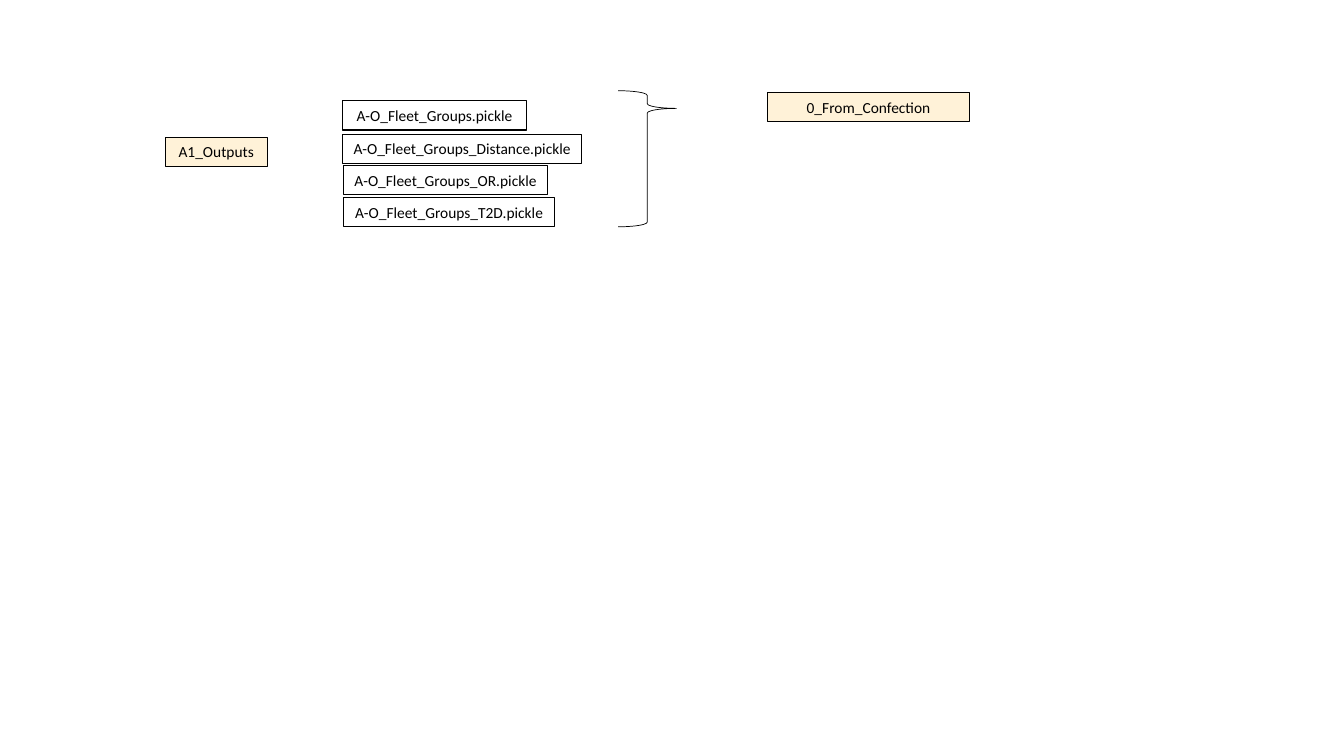
from dataclasses import dataclass
from typing import Optional

from lxml.etree import SubElement
from pptx import Presentation
from pptx.dml.color import RGBColor
from pptx.enum.shapes import MSO_SHAPE
from pptx.enum.text import MSO_ANCHOR, MSO_AUTO_SIZE, PP_ALIGN
from pptx.oxml.ns import qn
from pptx.shapes.autoshape import Shape
from pptx.slide import Slide
from pptx.util import Emu, Pt

PX = 9144
BOX_HEIGHT = 29
COLORS = {"ink": "000000", "folder": "FFCC66"}
FOLDER_OPACITY = 25
FRAME_FORMAT = {
    "word_wrap": True,
    "auto_size": MSO_AUTO_SIZE.SHAPE_TO_FIT_TEXT,
    "vertical_anchor": MSO_ANCHOR.MIDDLE,
    "margin_left": 0,
    "margin_right": 0,
}
FONT_FORMAT = {"name": "Calibri", "size": Pt(11)}


@dataclass
class Box:
    text: str
    left: int
    top: int
    width: int
    fill: Optional[str] = None


BOXES = [
    Box("A-O_Fleet_Groups.pickle", 340, 100, 182),
    Box("A-O_Fleet_Groups_Distance.pickle", 340, 133, 237),
    Box("A-O_Fleet_Groups_OR.pickle", 341, 164, 202),
    Box("A-O_Fleet_Groups_T2D.pickle", 341, 196, 209),
    Box("A1_Outputs", 164, 136, 101, "folder"),
    Box("0_From_Confection", 761, 92, 201, "folder"),
]


def px(value: int) -> Emu:
    return Emu(value * PX)


def color(name: str) -> RGBColor:
    return RGBColor.from_string(COLORS[name])


def apply(target: object, values: dict) -> None:
    for name, value in values.items():
        setattr(target, name, value)


def add_outline(s: Slide, kind: MSO_SHAPE, left: int, top: int,
                width: int, height: int, weight: float) -> Shape:
    sp = s.shapes.add_shape(kind, px(left), px(top), px(width), px(height))
    sp.shadow.inherit = False
    sp.fill.background()
    sp.line.color.rgb = color("ink")
    sp.line.width = Pt(weight)
    return sp


def add_box(s: Slide, box: Box) -> None:
    sp = add_outline(s, MSO_SHAPE.RECTANGLE, box.left, box.top,
                     box.width, BOX_HEIGHT, 0.75)
    if box.fill:
        sp.fill.solid()
        sp.fill.fore_color.rgb = color(box.fill)
        rgb = sp.fill._xPr.find(qn("a:solidFill")).find(qn("a:srgbClr"))
        SubElement(rgb, qn("a:alpha"), val=str(FOLDER_OPACITY * 1000))
    tf = sp.text_frame
    apply(tf, FRAME_FORMAT)
    p = tf.paragraphs[0]
    p.alignment = PP_ALIGN.CENTER
    r = p.add_run()
    r.text = box.text
    apply(r.font, FONT_FORMAT)
    r.font.color.rgb = color("ink")


def main() -> None:
    prs = Presentation()
    prs.slide_width, prs.slide_height = px(1333), px(750)
    s = prs.slides.add_slide(prs.slide_layouts[6])
    for box in BOXES:
        add_box(s, box)
    brace = add_outline(s, MSO_SHAPE.RIGHT_BRACE, 613, 90, 58, 135, 0.5)
    brace.adjustments[0] = 0.08
    brace.adjustments[1] = 0.13
    prs.save("out.pptx")


if __name__ == "__main__":
    main()
